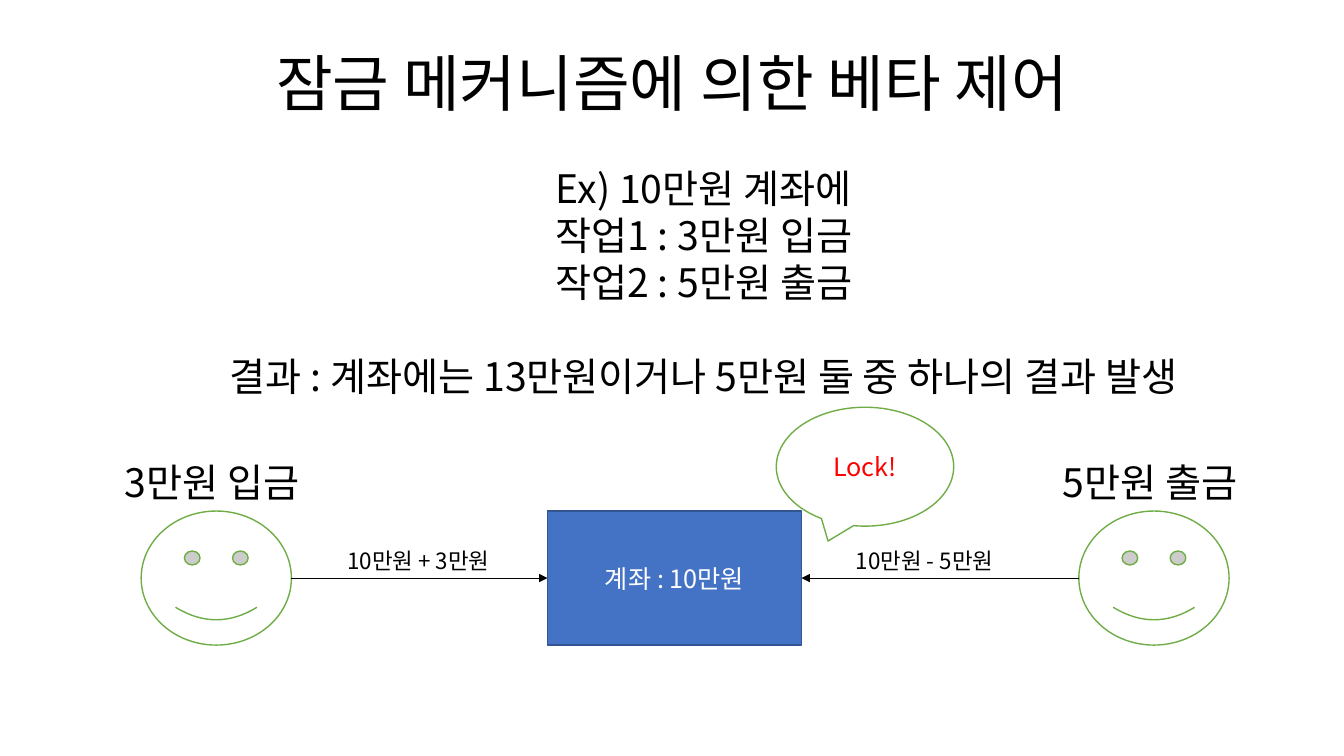
from lxml import etree
from pptx import Presentation
from pptx.dml.color import RGBColor
from pptx.enum.shapes import MSO_CONNECTOR, MSO_SHAPE
from pptx.enum.text import MSO_ANCHOR, PP_ALIGN
from pptx.oxml.ns import qn
from pptx.util import Inches, Pt

CENTER = PP_ALIGN.CENTER
TOP, MIDDLE = MSO_ANCHOR.TOP, MSO_ANCHOR.MIDDLE
SMILEY, RECTANGLE = MSO_SHAPE.SMILEY_FACE, MSO_SHAPE.RECTANGLE
CALLOUT = MSO_SHAPE.OVAL_CALLOUT
STRAIGHT, CURVE = MSO_CONNECTOR.STRAIGHT, MSO_CONNECTOR.CURVE
LEFT_SIDE, RIGHT_SIDE = 1, 3

FONT = "Noto Sans CJK KR"
COLORS = {
    "text": "000000",
    "white": "FFFFFF",
    "green": "70AD47",
    "blue": "4472C4",
    "navy": "325491",
    "lock": "FF0000",
}


def color(name):
    return RGBColor.from_string(COLORS[name])


def write(shape, lines, size, ink="text", anchor=TOP):
    """Fill a shape with centred paragraphs and return them."""
    frame = shape.text_frame
    frame.word_wrap = True
    frame.vertical_anchor = anchor
    paragraphs = [frame.paragraphs[0]]
    paragraphs += [frame.add_paragraph() for _ in lines[1:]]
    for paragraph, line in zip(paragraphs, lines):
        paragraph.alignment = CENTER
        run = paragraph.add_run()
        run.text = line
        run.font.size = Pt(size)
        run.font.color.rgb = color(ink)
        run.font.name = FONT
        # Hangul takes its typeface from the East Asian slot
        etree.SubElement(run.font._element, qn("a:ea"), typeface=FONT)
    return paragraphs


def add_text(slide, box, lines, size, anchor=TOP):
    textbox = slide.shapes.add_textbox(*map(Inches, box))
    return write(textbox, lines, size, anchor=anchor)


def add_figure(slide, kind, box, fill, outline):
    figure = slide.shapes.add_shape(kind, *map(Inches, box))
    figure.shadow.inherit = False
    figure.fill.solid()
    figure.fill.fore_color.rgb = color(fill)
    figure.line.color.rgb = color(outline)
    figure.line.width = Pt(1)
    return figure


def add_arrow(slide, kind, start, account, side):
    """Draw an arrow from a customer to one side of the account."""
    x, y = map(Inches, start)
    arrow = slide.shapes.add_connector(kind, x, y, x, y)
    arrow.end_connect(account, side)
    arrow.line.color.rgb = color("text")
    arrow.line.width = Pt(0.5)
    etree.SubElement(arrow.line._get_or_add_ln(), qn("a:tailEnd"), type="triangle")
    etree.SubElement(arrow._element.spPr, qn("a:effectLst"))


def add_example(slide, box):
    lines = [
        "Ex) 10만원 계좌에",
        "작업1 : 3만원 입금",
        "작업2 : 5만원 출금",
        "결과 : 계좌에는 13만원이거나 5만원 둘 중 하나의 결과 발생",
    ]
    result = add_text(slide, box, lines, 28)[-1]
    result.space_before = Pt(33.6)


def add_customer(slide, box, task):
    """Draw a smiley with its task above it."""
    left, top, width, _ = box
    add_figure(slide, SMILEY, box, "white", "green")
    label_width = 2.52
    label_left = left + (width - label_width) / 2 - 0.04
    add_text(slide, (label_left, top - 0.57, label_width, 0.57), [task], 28)


def add_transactions(slide, box):
    """Draw both customers, the locked account between them and the arrows."""
    left, top, width, height = box
    face_width = 1.49
    right_face = left + width - face_width
    middle = top + height / 2
    add_customer(slide, (left, top, face_width, height), "3만원 입금")
    add_customer(slide, (right_face, top, face_width, height), "5만원 출금")

    account = add_figure(
        slide, RECTANGLE, (left + 4.03, top, 2.52, height), "blue", "navy")
    write(account, ["계좌 : 10만원"], 18, "white", MIDDLE)

    add_arrow(slide, CURVE, (left + face_width, middle), account, LEFT_SIDE)
    add_arrow(slide, STRAIGHT, (right_face, middle), account, RIGHT_SIDE)
    for label_left, change in ((left + 1.49, "10만원 + 3만원"),
                               (left + 6.51, "10만원 - 5만원")):
        add_text(slide, (label_left, middle - 0.36, 2.52, 0.37), [change], 16)

    lock = add_figure(
        slide, CALLOUT, (left + 6.3, top - 1.03, 1.76, 1.18), "white", "green")
    write(lock, ["Lock!"], 18, "lock", MIDDLE)


def main():
    deck = Presentation()
    deck.slide_width, deck.slide_height = Inches(13.33), Inches(7.5)
    slide = deck.slides.add_slide(deck.slide_layouts[6])
    title = add_text(slide, (0.92, 0.13, 11.5, 1.45),
                     ["잠금 메커니즘에 의한 베타 제어"], 44, MIDDLE)[0]
    title.line_spacing = 0.9
    add_example(slide, (1.4, 1.58, 11.16, 2.46))
    add_transactions(slide, (1.4, 5.07, 10.79, 1.33))
    deck.save("out.pptx")


if __name__ == "__main__":
    main()
